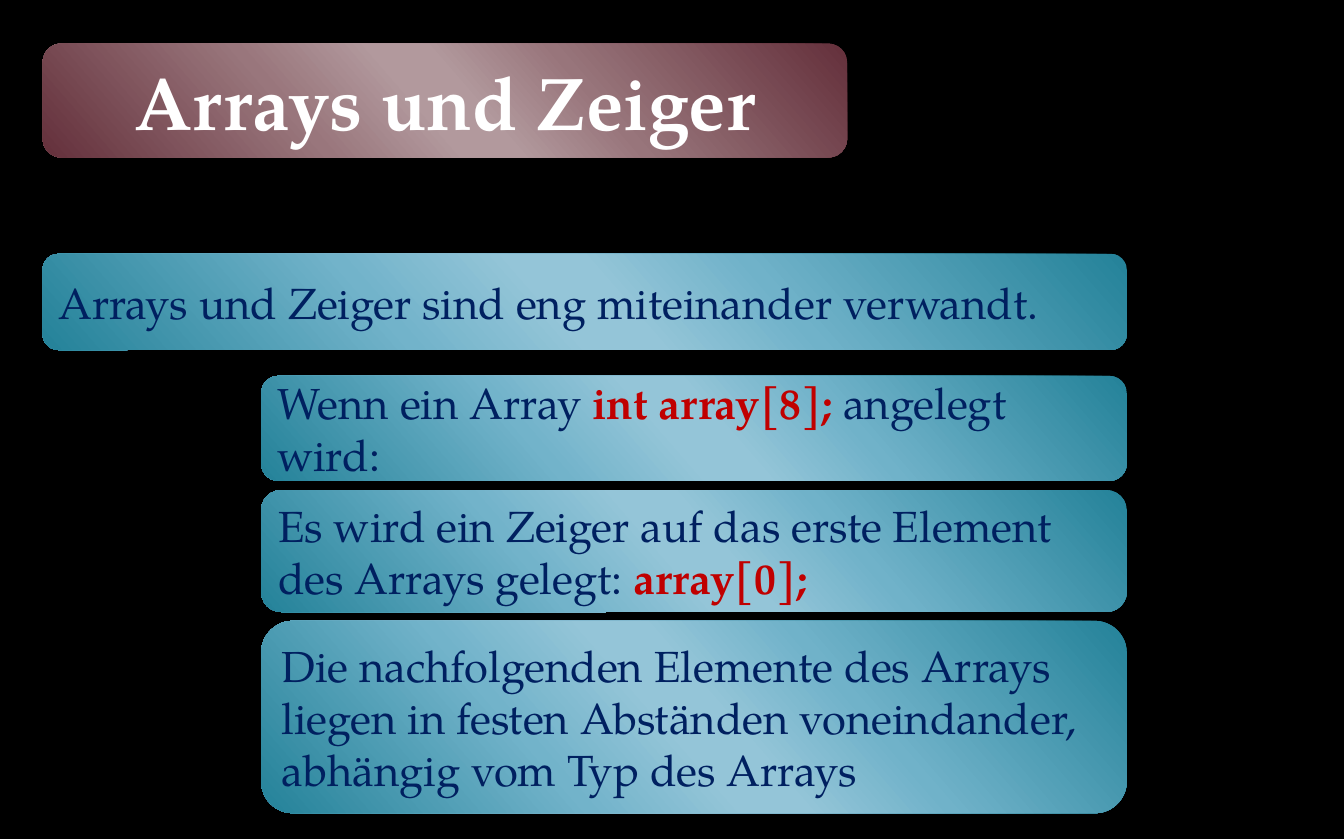
"""Build the slide on arrays and pointers."""
from lxml.etree import SubElement
from pptx import Presentation
from pptx.dml.color import RGBColor
from pptx.enum.shapes import MSO_SHAPE
from pptx.enum.text import MSO_ANCHOR, MSO_AUTO_SIZE, PP_ALIGN
from pptx.oxml.ns import qn
from pptx.util import Pt

COLORS = {"background": "000000", "title": "FFFFFF", "text": "002060", "code": "C00000"}
GRADIENTS = {
    "title": ["64303B", "98757B", "B2999D", "B2999D", "99767C", "64303B"],
    "card": ["248299", "70B2C9", "94C5D8", "94C5D8", "72B3CA", "248299"],
}
STOPS = [0, 33, 47, 53, 68, 100]
ANGLE = 139
FONT = "TeX Gyre Pagella"


def add_panel(shapes, box, gradient):
    sp = shapes.add_shape(MSO_SHAPE.ROUNDED_RECTANGLE, *map(Pt, box))
    sp.shadow.inherit = False
    sp.line.fill.background()
    sp.fill.gradient()
    grad = sp._element.spPr.find(qn("a:gradFill"))
    for child in list(grad):
        grad.remove(child)
    stops = SubElement(grad, qn("a:gsLst"))
    for pos, color in zip(STOPS, GRADIENTS[gradient]):
        stop = SubElement(stops, qn("a:gs"), pos=str(pos * 1000))
        SubElement(stop, qn("a:srgbClr"), val=color)
    SubElement(grad, qn("a:lin"), ang=str(ANGLE * 60000), scaled="0")
    return sp


def add_text(p, text, *, size=28, color="text", bold=False, align=PP_ALIGN.LEFT):
    p.alignment = align
    r = p.add_run()
    r.text = text
    r.font.name = FONT
    r.font.size = Pt(size)
    r.font.bold = bold
    r.font.color.rgb = RGBColor.from_string(COLORS[color])


prs = Presentation()
prs.slide_width, prs.slide_height = Pt(864.72), Pt(540)
s = prs.slides.add_slide(prs.slide_layouts[5])
s.background.fill.solid()
s.background.fill.fore_color.rgb = RGBColor.from_string(COLORS["background"])

title_box = (27.4, 28, 517.7, 73.4)
panel = add_panel(s.shapes, title_box, "title")
title = s.shapes.title
panel._element.addnext(title._element)
title.left, title.top, title.width, title.height = map(Pt, title_box)
tf = title.text_frame
tf.word_wrap = True
tf.auto_size = MSO_AUTO_SIZE.NONE
tf.vertical_anchor = MSO_ANCHOR.MIDDLE
add_text(tf.paragraphs[0], "Arrays und Zeiger", size=48, color="title", bold=True,
         align=PP_ALIGN.CENTER)

RIGHT = 725
cards = [
    (27.4, 163.4, 61.9, [("Arrays und Zeiger sind eng miteinander verwandt.", "text")]),
    (168, 241.9, 67.7, [("Wenn ein Array ", "text"), ("int array[8]; ", "code"),
                        ("angelegt wird:", "text")]),
    (168, 315.4, 78.5, [("Es wird ein Zeiger auf das erste Element des Arrays gelegt: ", "text"),
                        ("array[0];", "code")]),
    (168, 399.6, 123.8, [("Die nachfolgenden Elemente des Arrays liegen in festen Abständen "
                          "voneindander, abhängig vom Typ des Arrays", "text")]),
]
for left, top, height, runs in cards:
    card = add_panel(s.shapes, (left, top, RIGHT - left, height), "card")
    tf = card.text_frame
    tf.word_wrap = True
    tf.vertical_anchor = MSO_ANCHOR.MIDDLE
    for text, color in runs:
        add_text(tf.paragraphs[0], text, color=color, bold=color == "code")

prs.save("out.pptx")
